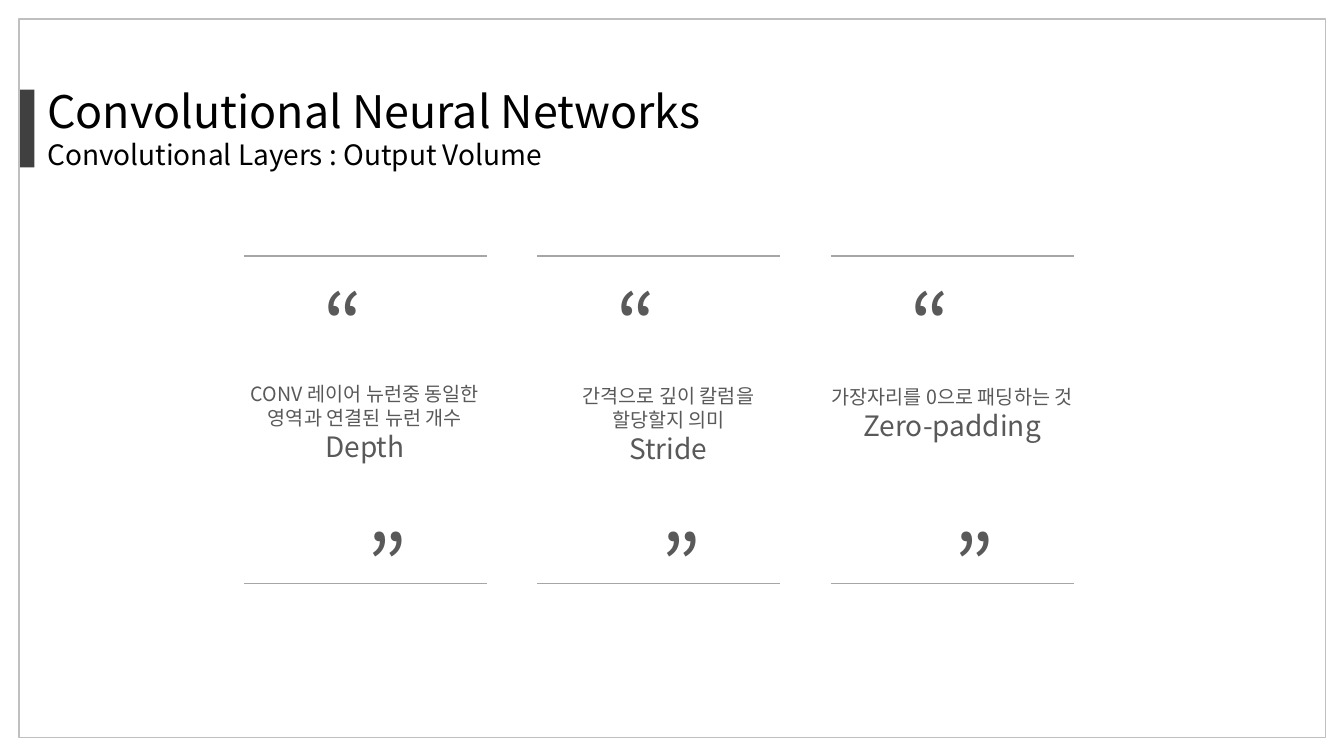
import pptx
import pptx.util
import pptx.dml.color
import pptx.enum.shapes
import pptx.enum.text
import pptx.oxml.ns
import lxml.etree

FONT = "Noto Sans CJK KR"
COLORS = {
    "title": "000000",
    "body": "595959",
    "accent": "404040",
    "rule": "A6A6A6",
    "frame": "BFBFBF",
}
COL_LEFT, COL_STEP, COL_WIDTH = 2.42, 2.91, 2.41
RULE_ROWS = (2.54, 5.79)
QUOTES = (("“", -1.17, 2.65), ("”", -0.73, 5.04))
CARDS = (
    ("CONV 레이어 뉴런중 동일한 영역과 연결된 뉴런 개수", "Depth", 2.31, 3.74, 2.62),
    ("간격으로 깊이 칼럼을 할당할지 의미", "Stride", 5.32, 3.76, 2.62),
    ("가장자리를 0으로 패딩하는 것", "Zero-padding", 8.03, 3.77, 2.83),
)


def inches(*values):
    return [pptx.util.Inches(v) for v in values]


def rgb(name):
    return pptx.dml.color.RGBColor.from_string(COLORS[name])


def sub(parent, tag, **attrs):
    return lxml.etree.SubElement(parent, pptx.oxml.ns.qn(tag), **attrs)


def add_run(p, text, size, color, alpha):
    r = p.add_run()
    r.text = text
    r.font.size = pptx.util.Pt(size)
    r.font.name = FONT
    r.font.color.rgb = rgb(color)
    rPr = r.font._element
    sub(rPr, "a:ea", typeface=FONT)
    ln = sub(rPr, "a:ln", w=str(pptx.util.Pt(0.75)))
    clr = sub(sub(ln, "a:solidFill"), "a:srgbClr", val=COLORS[color])
    sub(clr, "a:alpha", val=str(alpha * 1000))
    rPr.insert(0, ln)


def add_text(s, box, lines, color, alpha, align):
    tf = s.shapes.add_textbox(*inches(*box)).text_frame
    tf.word_wrap = True
    tf.auto_size = pptx.enum.text.MSO_AUTO_SIZE.SHAPE_TO_FIT_TEXT
    for i, (text, size) in enumerate(lines):
        p = tf.add_paragraph() if i else tf.paragraphs[0]
        p.alignment = align
        add_run(p, text, size, color, alpha)


def add_rect(s, box, fill=None, line=None):
    sp = s.shapes.add_shape(pptx.enum.shapes.MSO_SHAPE.RECTANGLE, *inches(*box))
    sp.shadow.inherit = False
    if fill:
        sp.fill.solid()
        sp.fill.fore_color.rgb = rgb(fill)
    else:
        sp.fill.background()
    if line:
        sp.line.color.rgb = rgb(line)
        sp.line.width = pptx.util.Pt(1)
    else:
        sp.line.fill.background()


def add_rule(s, x, y):
    line = s.shapes.add_connector(
        pptx.enum.shapes.MSO_CONNECTOR.STRAIGHT, *inches(x, y, x + COL_WIDTH, y))
    line.line.color.rgb = rgb("rule")
    line.line.width = pptx.util.Pt(0.75)
    sub(line._element.spPr, "a:effectLst")


def main():
    prs = pptx.Presentation()
    prs.slide_width, prs.slide_height = inches(13.33, 7.5)
    s = prs.slides.add_slide(prs.slide_layouts[6])
    left = pptx.enum.text.PP_ALIGN.LEFT
    center = pptx.enum.text.PP_ALIGN.CENTER

    add_rect(s, (0.19, 0.89, 0.15, 0.77), fill="accent")
    add_text(s, (0.37, 0.78, 8.93, 0.98),
             (("Convolutional Neural Networks", 32),
              ("Convolutional Layers : Output Volume", 20)),
             "title", 50, left)
    for col, (meaning, term, x, y, width) in enumerate(CARDS):
        col_x = COL_LEFT + col * COL_STEP
        for rule_y in RULE_ROWS:
            add_rule(s, col_x, rule_y)
        for mark, dx, mark_y in QUOTES:
            add_text(s, (col_x + dx, mark_y, 4.31, 1.11), ((mark, 60),),
                     "body", 30, center)
        add_text(s, (x, y, width, 0.91), ((meaning, 14), (term, 20)),
                 "body", 30, center)
    add_rect(s, (0.19, 0.19, 12.96, 7.13), line="frame")
    prs.save("out.pptx")


if __name__ == "__main__":
    main()
